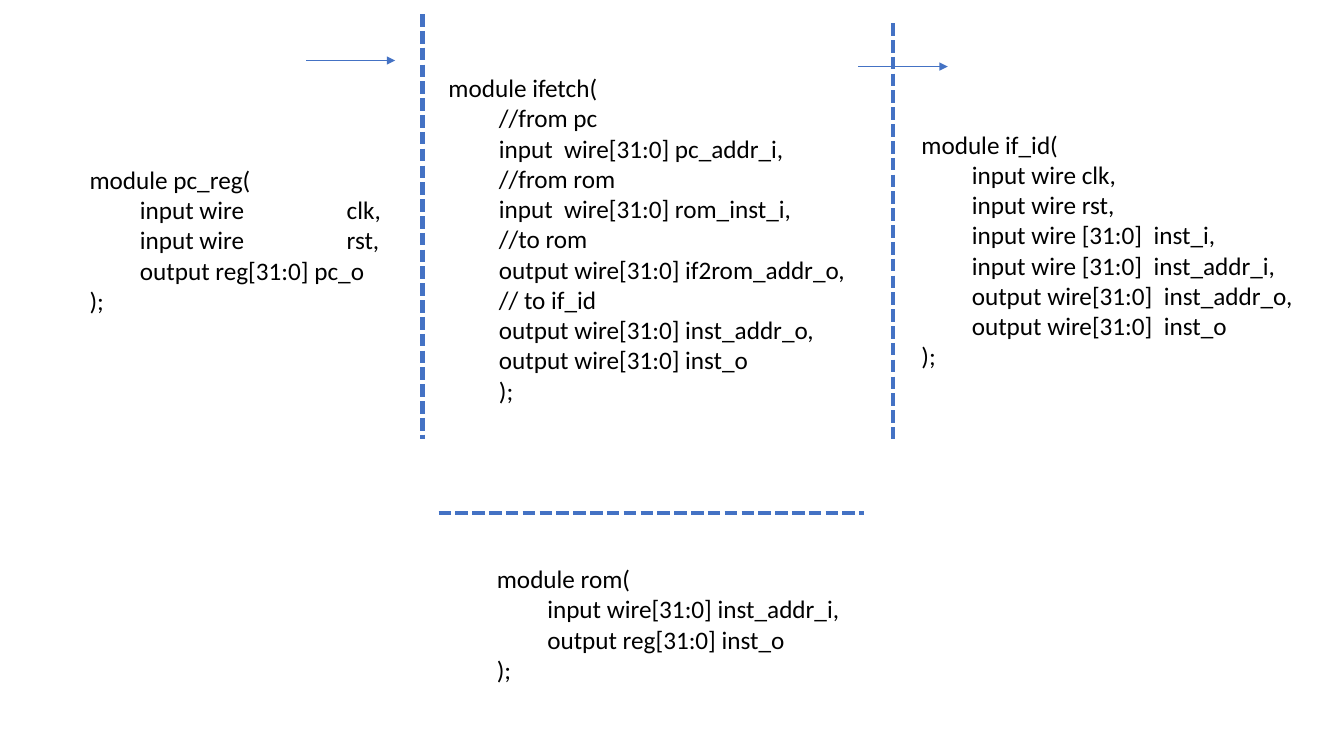
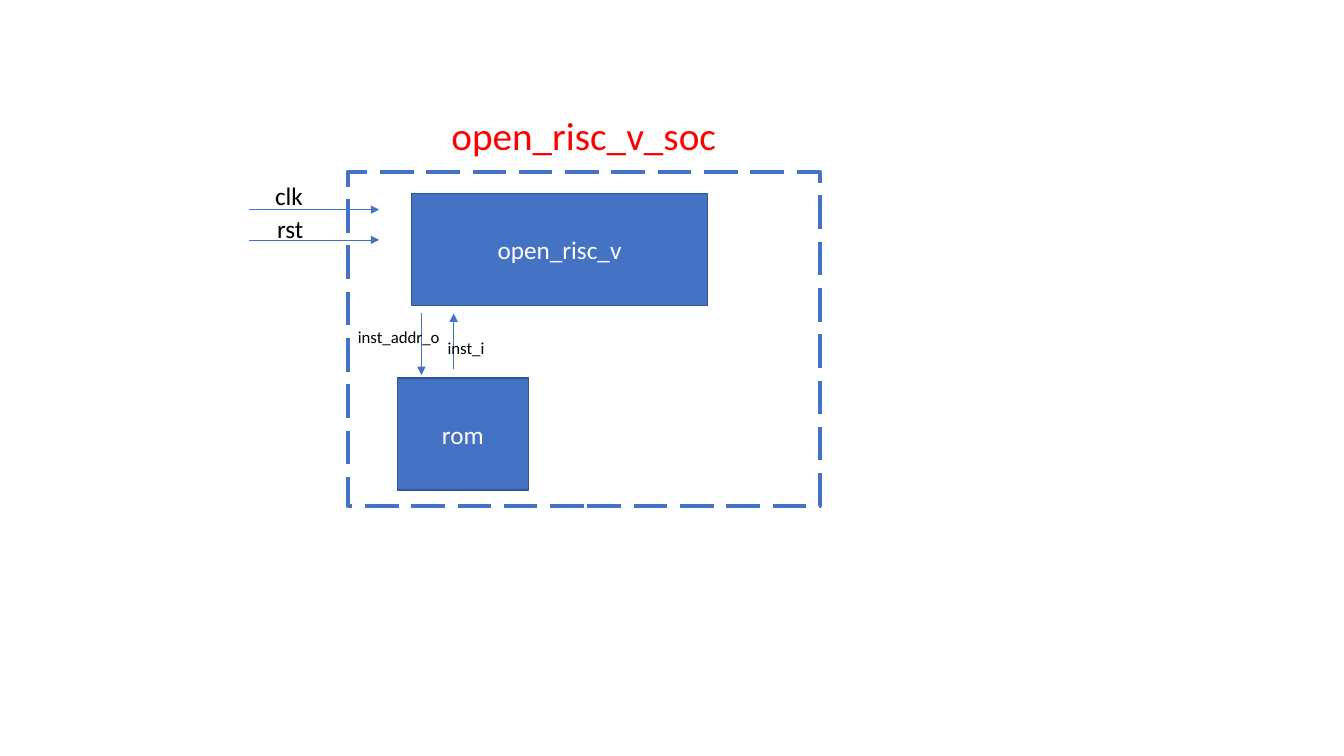
from lxml.etree import SubElement
from pptx import Presentation
from pptx.dml.color import RGBColor
from pptx.enum.dml import MSO_LINE as Dash
from pptx.enum.shapes import MSO_CONNECTOR as Connector, MSO_SHAPE as Shape
from pptx.enum.text import MSO_ANCHOR as Anchor, PP_ALIGN as Align
from pptx.oxml.ns import qn
from pptx.util import Inches, Pt

COLORS = {
    "blue": "4472C4",
    "edge": "325491",
    "red": "FF0000",
    "black": "000000",
    "white": "FFFFFF",
}
FONT = "Calibri"
CODE_TABS = (0.5, 2.55)

PC_REG = """module pc_reg(
\tinput wire\tclk,
\tinput wire\trst,
\toutput reg[31:0] pc_o
);"""

IFETCH = """module ifetch(
\t//from pc
\tinput  wire[31:0] pc_addr_i,
\t//from rom
\tinput  wire[31:0] rom_inst_i,
\t//to rom
\toutput wire[31:0] if2rom_addr_o,
\t// to if_id
\toutput wire[31:0] inst_addr_o,
\toutput wire[31:0] inst_o
\t);"""

IF_ID = """module if_id(
\tinput wire clk,
\tinput wire rst,
\tinput wire [31:0]  inst_i,
\tinput wire [31:0]  inst_addr_i,
\toutput wire[31:0]  inst_addr_o,
\toutput wire[31:0]  inst_o
);"""

ROM = """module rom(
\tinput wire[31:0] inst_addr_i,
\toutput reg[31:0] inst_o
);"""


def rgb(name):
    return RGBColor.from_string(COLORS[name])


def write_text(frame, text, size=18, color="black", align=Align.LEFT,
               anchor=Anchor.TOP, wrap=True, tabs=()):
    frame.word_wrap = wrap
    frame.vertical_anchor = anchor
    for index, line in enumerate(text.split("\n")):
        para = frame.add_paragraph() if index else frame.paragraphs[0]
        para.alignment = align
        if tabs:
            stops = SubElement(para._p.get_or_add_pPr(), qn("a:tabLst"))
            for stop in tabs:
                SubElement(stops, qn("a:tab"), pos=str(Inches(stop)), algn="l")
        span = para.add_run()
        span.text = line
        span.font.name = FONT
        span.font.size = Pt(size)
        span.font.color.rgb = rgb(color)


class Diagram:
    def __init__(self):
        self.deck = Presentation()
        self.deck.slide_width = Inches(13.33)
        self.deck.slide_height = Inches(7.5)
        self.page = None

    def new_page(self):
        self.page = self.deck.slides.add_slide(self.deck.slide_layouts[6])

    def label(self, text, left, top, width, height, **style):
        box = self.page.shapes.add_textbox(
            Inches(left), Inches(top), Inches(width), Inches(height))
        write_text(box.text_frame, text, **style)

    def code(self, text, left, top, width, height):
        self.label(text, left, top, width, height, tabs=CODE_TABS)

    def box(self, left, top, width, height, text="", fill="blue",
            edge="edge", weight=1, dash=None):
        box = self.page.shapes.add_shape(
            Shape.RECTANGLE, Inches(left), Inches(top), Inches(width), Inches(height))
        box.shadow.inherit = False
        box.fill.solid()
        box.fill.fore_color.rgb = rgb(fill)
        self.stroke(box.line, edge, weight, dash)
        if text:
            write_text(box.text_frame, text, color="white",
                       align=Align.CENTER, anchor=Anchor.MIDDLE)

    def stroke(self, line, color, weight, dash=None):
        line.color.rgb = rgb(color)
        line.width = Pt(weight)
        if dash is not None:
            line.dash_style = dash

    def connect(self, start, end, weight, dash=None):
        link = self.page.shapes.add_connector(
            Connector.STRAIGHT, *(Inches(value) for value in (*start, *end)))
        self.stroke(link.line, "blue", weight, dash)
        SubElement(link._element.spPr, qn("a:effectLst"))
        return link

    def divider(self, start, end):
        self.connect(start, end, 3, Dash.SQUARE_DOT)

    def arrow(self, start, end):
        link = self.connect(start, end, 0.5)
        SubElement(link.line._get_or_add_ln(), qn("a:tailEnd"), type="triangle")


def build_modules(diagram):
    diagram.new_page()
    diagram.code(IF_ID, 9.04, 1.23, 3.89, 2.52)
    diagram.code(IFETCH, 4.35, 0.67, 4.16, 3.43)
    diagram.code(PC_REG, 0.79, 1.58, 3.24, 1.62)
    diagram.code(ROM, 4.83, 5.54, 6.67, 1.31)
    diagram.divider((4.19, 0.14), (4.19, 4.36))
    diagram.divider((8.86, 0.23), (8.86, 4.36))
    diagram.divider((4.35, 5.09), (8.57, 5.09))
    diagram.arrow((3.04, 0.6), (3.92, 0.6))
    diagram.arrow((8.51, 0.66), (9.4, 0.66))


def build_soc(diagram):
    diagram.new_page()
    diagram.box(3.45, 1.71, 4.68, 3.31, fill="white", edge="blue",
                weight=3, dash=Dash.LONG_DASH)
    diagram.box(4.08, 1.92, 2.94, 1.11, "open_risc_v")
    diagram.box(3.94, 3.75, 1.3, 1.11, "rom")
    diagram.arrow((4.18, 3.11), (4.18, 3.72))
    diagram.arrow((4.5, 3.66), (4.5, 3.11))
    for name, left, top, level in (("rst", 2.65, 2.07, 2.38), ("clk", 2.63, 1.74, 2.08)):
        diagram.arrow((2.47, level), (3.76, level))
        diagram.label(name, left, top, 1.13, 0.4)
    for name, left, top in (("inst_addr_o", 3.45, 3.19), ("inst_i", 4.34, 3.3)):
        diagram.label(name, left, top, 1.45, 0.3, size=12)
    diagram.label("open_risc_v_soc", 4.36, 1.06, 2.86, 0.57, size=28,
                  color="red", align=Align.CENTER, wrap=False)


def main():
    diagram = Diagram()
    build_modules(diagram)
    build_soc(diagram)
    diagram.deck.save("out.pptx")


if __name__ == "__main__":
    main()
